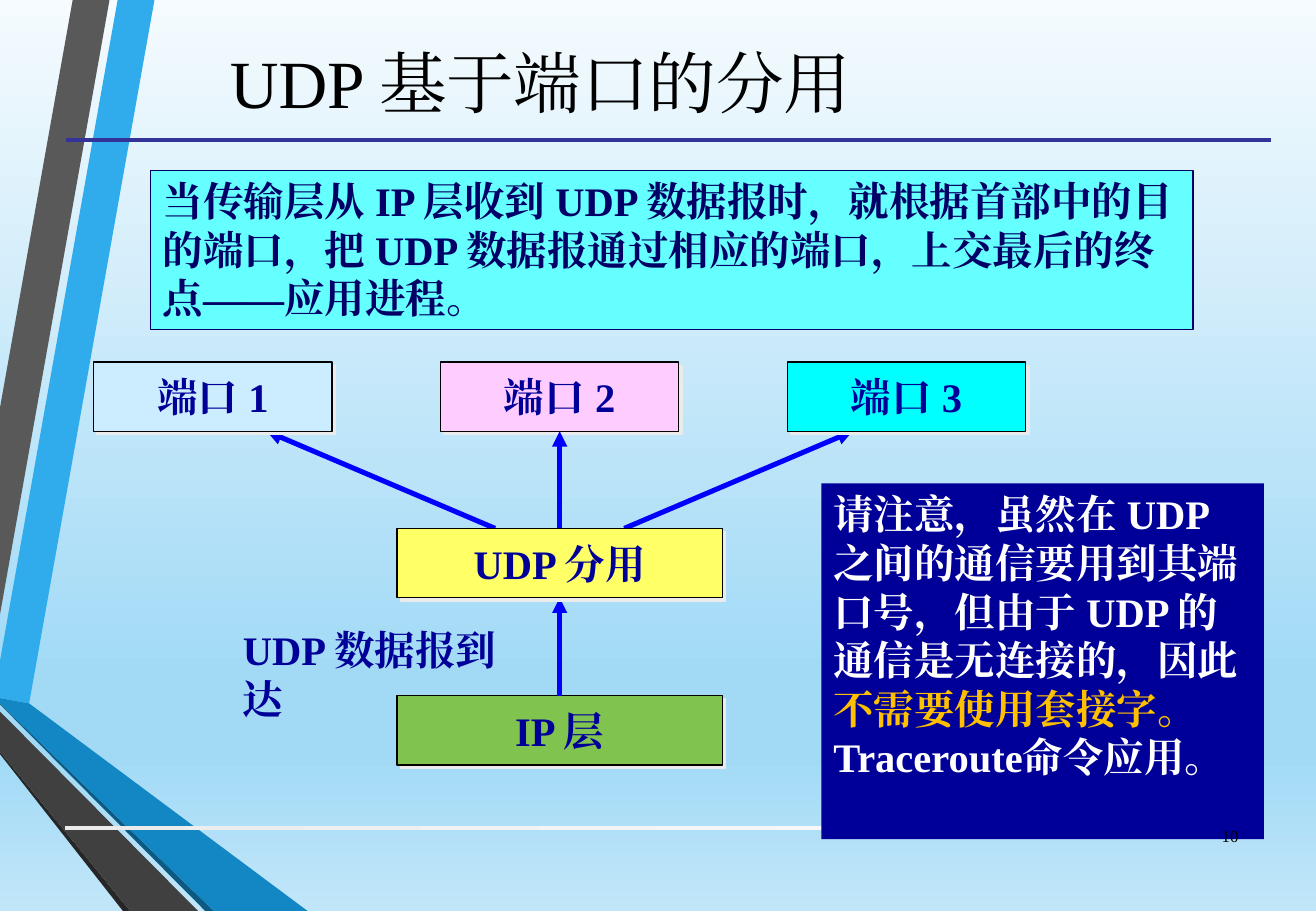
from copy import deepcopy
from dataclasses import dataclass

from lxml import etree
from pptx import Presentation
from pptx.dml.color import RGBColor
from pptx.enum.lang import MSO_LANGUAGE_ID
from pptx.enum.shapes import MSO_CONNECTOR, MSO_SHAPE
from pptx.enum.text import MSO_ANCHOR, PP_ALIGN
from pptx.oxml.ns import qn
from pptx.util import Cm, Pt

RECTANGLE = MSO_SHAPE.RECTANGLE
STRAIGHT = MSO_CONNECTOR.STRAIGHT
TOP, MIDDLE = MSO_ANCHOR.TOP, MSO_ANCHOR.MIDDLE
LEFT, CENTER, RIGHT = PP_ALIGN.LEFT, PP_ALIGN.CENTER, PP_ALIGN.RIGHT
CHINESE = MSO_LANGUAGE_ID.SIMPLIFIED_CHINESE


@dataclass(frozen=True)
class Theme:
    """Colours, font and type sizes of the slide."""
    font: str = "Times New Roman"
    title_size: int = 40
    body_size: int = 24
    number_size: int = 10
    black: str = "000000"
    white: str = "FFFFFF"
    navy: str = "000099"
    ink: str = "000066"
    highlight: str = "FFC000"
    arrow: str = "0000FF"
    title_rule: str = "333399"
    shadow: str = "EBEBEB"
    summary_fill: str = "66FFFF"
    sky: tuple = ((0, "F5FBFE"), (0.74, "A2DAF6"), (0.83, "A2DAF6"), (1, "C1E6F9"))
    footer_rule: tuple = ((0, "EBEBEB"), (1, "FFFFFF"))


@dataclass(frozen=True)
class Ribbon:
    """A filled outline with its corners in centimetres."""
    color: str
    points: tuple


@dataclass(frozen=True)
class Node:
    """A labelled box of the diagram, placed by its centre line."""
    label: str
    color: str
    center: float
    top: float
    width: float


@dataclass(frozen=True)
class Arrow:
    """A diagram arrow from its tail to its tip, in centimetres."""
    start: tuple
    tip: tuple


THEME = Theme()
NODE_HEIGHT = 1.45
AXIS, PORT_PITCH = 11.7, 7.25
PORT_TOP, DEMUX_TOP, IP_TOP = 7.57, 11.05, 14.55
PORT_WIDTH, LAYER_WIDTH = 4.98, 6.8
START_SPREAD, TIP_SPREAD = 1.35, 6.12

RIBBONS = (
    Ribbon("30ACEC", ((0, 13.82), (0, 14.6), (0.61, 14.71), (3.23, 0), (2.46, 0))),
    Ribbon("595959", ((2.29, 0), (1.52, 0), (0, 8.53), (0, 12.85))),
    Ribbon("262626", ((0, 15.72), (0, 15.77), (2.57, 19.05), (2.72, 19.05))),
    Ribbon("0C5A82", ((0, 14.71), (0, 14.73), (4.29, 19.05), (4.47, 19.05))),
    Ribbon("1287C3", ((0, 14.71), (4.47, 19.05), (6.43, 19.05), (0.61, 14.71), (0, 14.6))),
    Ribbon("404040", ((0, 15.72), (2.72, 19.05), (4.14, 19.05), (0, 14.88))),
)
IP_LAYER = Node("IP 层", "80C34F", AXIS, IP_TOP, LAYER_WIDTH)
DEMUX = Node("UDP 分用", "FFFF66", AXIS, DEMUX_TOP, LAYER_WIDTH)
PORT_1, PORT_2, PORT_3 = (
    Node(f"端口 {index + 1}", color, AXIS + (index - 1) * PORT_PITCH, PORT_TOP, PORT_WIDTH)
    for index, color in enumerate(("CCECFF", "FFCCFF", "00FFFF")))
ARROWS = (
    Arrow((AXIS, IP_TOP), (AXIS, DEMUX_TOP + NODE_HEIGHT)),
    *(Arrow((AXIS + side * START_SPREAD, DEMUX_TOP),
            (AXIS + side * TIP_SPREAD, PORT_TOP + NODE_HEIGHT)) for side in (-1, 0, 1)),
)


def paint_gradient(fill, element, stops: tuple, angle: float) -> None:
    """Give a fill a linear gradient; element is the XML that holds it."""
    fill.gradient()
    fill.gradient_angle = angle
    stop_list = next(element.iter(qn("a:gsLst")))
    while len(stop_list) < len(stops):
        stop_list.append(deepcopy(stop_list[-1]))
    for stop, (position, color) in zip(fill.gradient_stops, stops):
        stop.position = position
        stop.color.rgb = RGBColor.from_string(color)


def paint(shape, color: str, outline: str = "") -> None:
    """Fill a shape, with a thin outline or none, and no shadow."""
    shape.shadow.inherit = False
    shape.fill.solid()
    shape.fill.fore_color.rgb = RGBColor.from_string(color)
    if outline:
        shape.line.color.rgb = RGBColor.from_string(outline)
        shape.line.width = Pt(0.75)
    else:
        shape.line.fill.background()


def cast_shadow(shape) -> None:
    """Add a hard pale shadow to the lower right."""
    effects = shape.element.spPr.find(qn("a:effectLst"))
    shadow = etree.SubElement(effects, qn("a:outerShdw"), blurRad="0",
                              dist=str(Pt(2.8)), dir="2700000", algn="ctr", rotWithShape="0")
    etree.SubElement(shadow, qn("a:srgbClr"), val=THEME.shadow)


def write(box, text: str, *, color: str = THEME.navy, size: int = THEME.body_size,
          bold: bool = True, align=LEFT, anchor=TOP, wrap: bool = True) -> None:
    """Append formatted text to the first paragraph of a box."""
    frame = box.text_frame
    frame.word_wrap = wrap
    frame.vertical_anchor = anchor
    para = frame.paragraphs[0]
    para.alignment = align
    span = para.add_run()
    span.text = text
    font = span.font
    font.name, font.size, font.bold = THEME.font, Pt(size), bold
    font.language_id = CHINESE
    font.color.rgb = RGBColor.from_string(color)
    etree.SubElement(span.font._element, qn("a:ea"), typeface=THEME.font)


def add_rectangle(page, left: float, top: float, width: float, height: float,
                  color: str, outline: str = ""):
    """Add a painted rectangle."""
    box = page.shapes.add_shape(RECTANGLE, Cm(left), Cm(top), Cm(width), Cm(height))
    paint(box, color, outline)
    return box


def add_text(page, left: float, top: float, width: float, height: float,
             text: str, **style) -> None:
    """Add a plain text box."""
    write(page.shapes.add_textbox(Cm(left), Cm(top), Cm(width), Cm(height)), text, **style)


def add_ribbon(page, ribbon: Ribbon) -> None:
    """Draw one decorative ribbon."""
    start, *rest = [(Cm(x), Cm(y)) for x, y in ribbon.points]
    builder = page.shapes.build_freeform(*start)
    builder.add_line_segments(rest, close=True)
    paint(builder.convert_to_shape(), ribbon.color)


def add_line(page, start: tuple, end: tuple, color: str, width: float):
    """Draw a straight line without a shadow."""
    line = page.shapes.add_connector(STRAIGHT, *map(Cm, (*start, *end)))
    line.line.color.rgb = RGBColor.from_string(color)
    line.line.width = Pt(width)
    etree.SubElement(line.element.spPr, qn("a:effectLst"))
    return line


def add_arrow(page, arrow: Arrow) -> None:
    """Draw one diagram arrow."""
    line = add_line(page, arrow.start, arrow.tip, THEME.arrow, 3)
    etree.SubElement(line.line._get_or_add_ln(), qn("a:tailEnd"), type="triangle")


def add_node(page, node: Node) -> None:
    """Draw one labelled diagram box."""
    box = add_rectangle(page, node.center - node.width / 2, node.top,
                        node.width, NODE_HEIGHT, node.color, THEME.black)
    cast_shadow(box)
    write(box, node.label, align=CENTER, anchor=MIDDLE, wrap=False)


deck = Presentation()
deck.slide_width, deck.slide_height = Cm(27.51), Cm(19.05)
page = deck.slides.add_slide(deck.slide_layouts[6])
paint_gradient(page.background.fill, page.element, THEME.sky, 270)

for ribbon in RIBBONS:
    add_ribbon(page, ribbon)
footer_rule = add_rectangle(page, 1.35, 17.27, 24.77, 0.08, THEME.white)
paint_gradient(footer_rule.fill, footer_rule.element, THEME.footer_rule, 0)
add_line(page, (1.37, 2.92), (26.57, 2.92), THEME.title_rule, 2.25)
add_text(page, 0.91, 0.13, 20.78, 3.15, "UDP 基于端口的分用", color=THEME.black,
         size=THEME.title_size, bold=False, align=CENTER, anchor=MIDDLE)

for node in (IP_LAYER, PORT_2):
    add_node(page, node)
add_text(page, 4.83, 12.95, 6.6, 1.3, "UDP 数据报到达")
for arrow in ARROWS:
    add_arrow(page, arrow)
for node in (PORT_3, PORT_1, DEMUX):
    add_node(page, node)

summary = add_rectangle(page, 3.15, 3.56, 21.79, 3.33, THEME.summary_fill, THEME.ink)
write(summary, "当传输层从 IP 层收到 UDP 数据报时，就根据首部中的目的端口，"
      "把 UDP 数据报通过相应的端口，上交最后的终点——应用进程。", color=THEME.ink)
notice = add_rectangle(page, 17.17, 10.11, 9.25, 7.44, THEME.navy)
for text, color in (
        ("请注意，虽然在 UDP 之间的通信要用到其端口号，但由于 UDP 的通信是无连接的，因此", THEME.white),
        ("不需要使用套接字。", THEME.highlight),
        ("Traceroute命令应用。", THEME.white)):
    write(notice, text, color=color)
add_text(page, 24.84, 16.97, 1.3, 1.02, "10", color=THEME.black,
         size=THEME.number_size, bold=False, align=RIGHT, anchor=MIDDLE)

deck.save("out.pptx")
